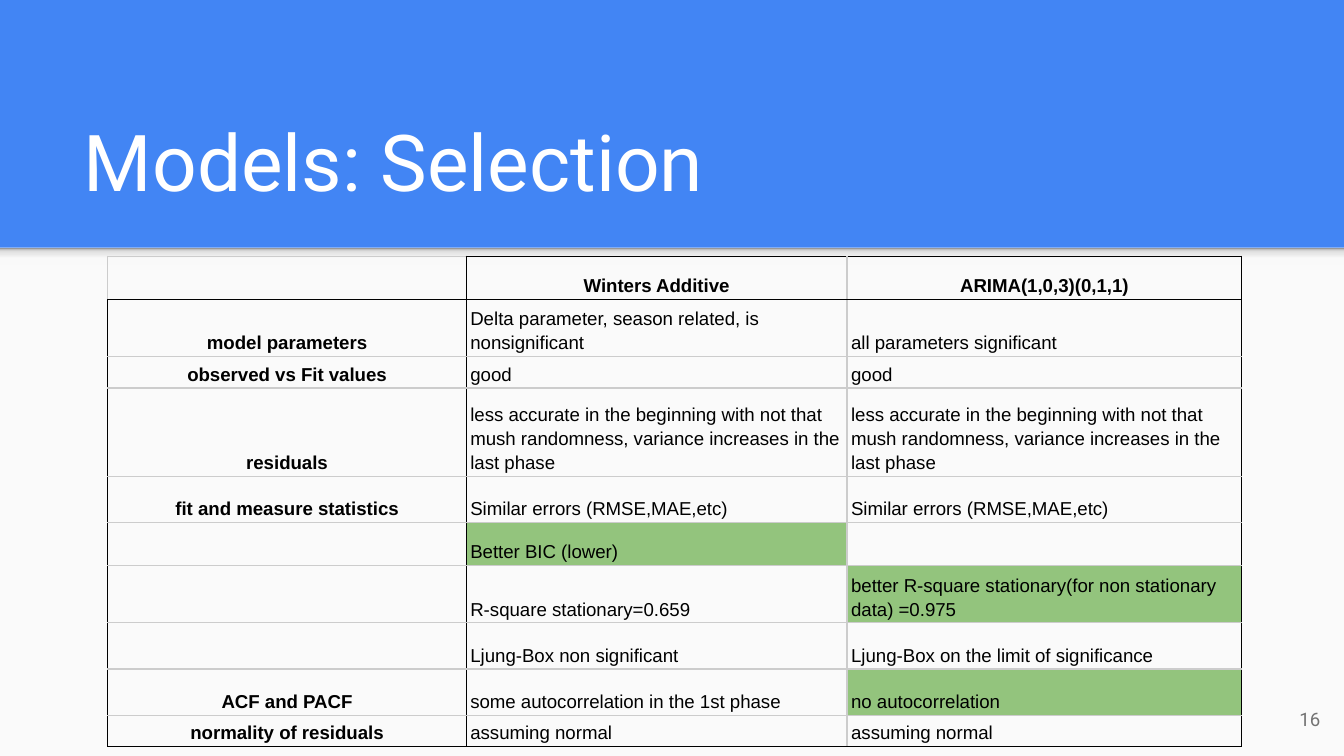
from lxml.etree import SubElement
from pptx import Presentation
from pptx.dml.color import RGBColor
from pptx.enum.shapes import MSO_SHAPE
from pptx.enum.text import MSO_ANCHOR, PP_ALIGN
from pptx.oxml import parse_xml
from pptx.oxml.ns import nsdecls, qn
from pptx.util import Pt

PX = 9525  # EMU in one px, 96 px to the inch
THEME = {
    "blue": "4285F4", "paper": "FAFAFA", "white": "FFFFFF", "ink": "000000",
    "rule": "CCCCCC", "best": "93C47D", "muted": "737373",
    "title": 42, "body": 10, "line": 0.75,
    "head font": "Roboto", "cell font": "Arial",
    "shade": [(0, "F9F9F9"), (36, "F9F9F9"), (80, "DEDEDE"), (100, "999999")],
}


def color(name):
    return RGBColor.from_string(THEME[name])


def write(frame, text, pad, anchor, align, font, size, ink, bold=False, lead=None):
    """Fill a text frame with one paragraph; pad is (side, top and bottom) in px."""
    side, edge = (n * PX for n in pad)
    form = {"margin_left": side, "margin_right": side, "margin_top": edge,
            "margin_bottom": edge, "vertical_anchor": anchor, "word_wrap": True}
    for key, val in form.items():
        setattr(frame, key, val)
    para = frame.paragraphs[0]
    para.alignment, para.line_spacing = align, lead
    run = para.add_run()
    run.text = text
    form = {"name": THEME[font], "size": Pt(THEME[size]), "bold": bold}
    for key, val in form.items():
        setattr(run.font, key, val)
    run.font.color.rgb = color(ink)


deck = Presentation()
deck.slide_width, deck.slide_height = 960 * PX, 540 * PX
slide = deck.slides.add_slide(deck.slide_layouts[6])
slide.background.fill.solid()
slide.background.fill.fore_color.rgb = color("blue")

# Paper panel and the soft shade along its top
for high in (363, 12):
    panel = slide.shapes.add_shape(MSO_SHAPE.RECTANGLE, 0, 177 * PX, 960 * PX, high * PX)
    panel.shadow.inherit = False
    panel.line.fill.background()
    panel.fill.solid()
    panel.fill.fore_color.rgb = color("paper")
stops = "".join(f'<a:gs pos="{pos * 1000}"><a:srgbClr val="{tint}"/></a:gs>'
                for pos, tint in THEME["shade"])
props = panel.fill._xPr
props.replace(props.find(qn("a:solidFill")), parse_xml(
    f'<a:gradFill {nsdecls("a")}><a:gsLst>{stops}</a:gsLst>'
    '<a:lin ang="16200000" scaled="0"/></a:gradFill>'))

# Title and page number
for text, area, anchor, align, size, ink in [
    ("Models: Selection", (50, 78, 863, 80), MSO_ANCHOR.BOTTOM, PP_ALIGN.LEFT, "title", "white"),
    ("16", (895, 493, 58, 41), MSO_ANCHOR.MIDDLE, PP_ALIGN.RIGHT, "body", "muted"),
]:
    box = slide.shapes.add_textbox(*(n * PX for n in area))
    write(box.text_frame, text, (10, 10), anchor, align, "head font", size, ink)

# Model table: row height, then the three cells
LATE = ("less accurate in the beginning with not that mush randomness, "
        "variance increases in the last phase")
ROWS = [
    (31, "", "Winters Additive", "ARIMA(1,0,3)(0,1,1)"),
    (38, "model parameters", "Delta parameter, season related, is nonsignificant",
     "all parameters significant"),
    (21, "observed vs Fit values", "good", "good"),
    (63, "residuals", LATE, LATE),
    (33, "fit and measure statistics", "Similar errors (RMSE,MAE,etc)",
     "Similar errors (RMSE,MAE,etc)"),
    (31, "", "Better BIC (lower)", ""),
    (38, "", "R-square stationary=0.659",
     "better R-square stationary(for non stationary data) =0.975"),
    (33, "", "Ljung-Box non significant", "Ljung-Box on the limit of significance"),
    (33, "ACF and PACF", "some autocorrelation in the 1st phase", "no autocorrelation"),
    (21, "normality of residuals", "assuming normal", "assuming normal"),
]
COLS = [256, 272, 282]
BEST = {(5, 1), (6, 2), (8, 2)}
last = len(ROWS)
tall = sum(row[0] for row in ROWS)
table = slide.shapes.add_table(last, len(COLS), 77 * PX, 183 * PX,
                               sum(COLS) * PX, tall * PX).table
table.first_row = table.horz_banding = False
for col, wide in zip(table.columns, COLS):
    col.width = wide * PX

for r, (high, *texts) in enumerate(ROWS):
    table.rows[r].height = high * PX
    for c, text in enumerate(texts):
        cell = table.cell(r, c)
        label = r == 0 or c == 0
        if text:
            write(cell.text_frame, text, (3, 2), MSO_ANCHOR.BOTTOM,
                  PP_ALIGN.CENTER if label else PP_ALIGN.LEFT,
                  "cell font", "body", "ink", label, 1.15)
            # Cell margins and anchor belong to the cell itself
        else:
            SubElement(cell.text_frame.paragraphs[0]._p, qn("a:endParaRPr"),
                       sz=str(THEME["body"] * 100))
        form = {"margin_left": 3 * PX, "margin_right": 3 * PX, "margin_top": 2 * PX,
                "margin_bottom": 2 * PX, "vertical_anchor": MSO_ANCHOR.BOTTOM}
        for key, val in form.items():
            setattr(cell, key, val)

        # Black frame, header rule and label rule; the corner stays grey
        props = cell._tc.get_or_add_tcPr()
        for side, dark in [
            ("L", c == 1 or (c == 0 and r > 0)), ("R", c != 1),
            ("T", r == 1 or (r == 0 and c > 0)), ("B", r in (0, last - 1)),
        ]:
            line = SubElement(props, qn(f"a:ln{side}"), w=str(Pt(THEME["line"])))
            SubElement(SubElement(line, qn("a:solidFill")), qn("a:srgbClr"),
                       val=THEME["ink" if dark else "rule"])
        if (r, c) in BEST:
            cell.fill.solid()
            cell.fill.fore_color.rgb = color("best")
        else:
            cell.fill.background()

deck.save("out.pptx")
